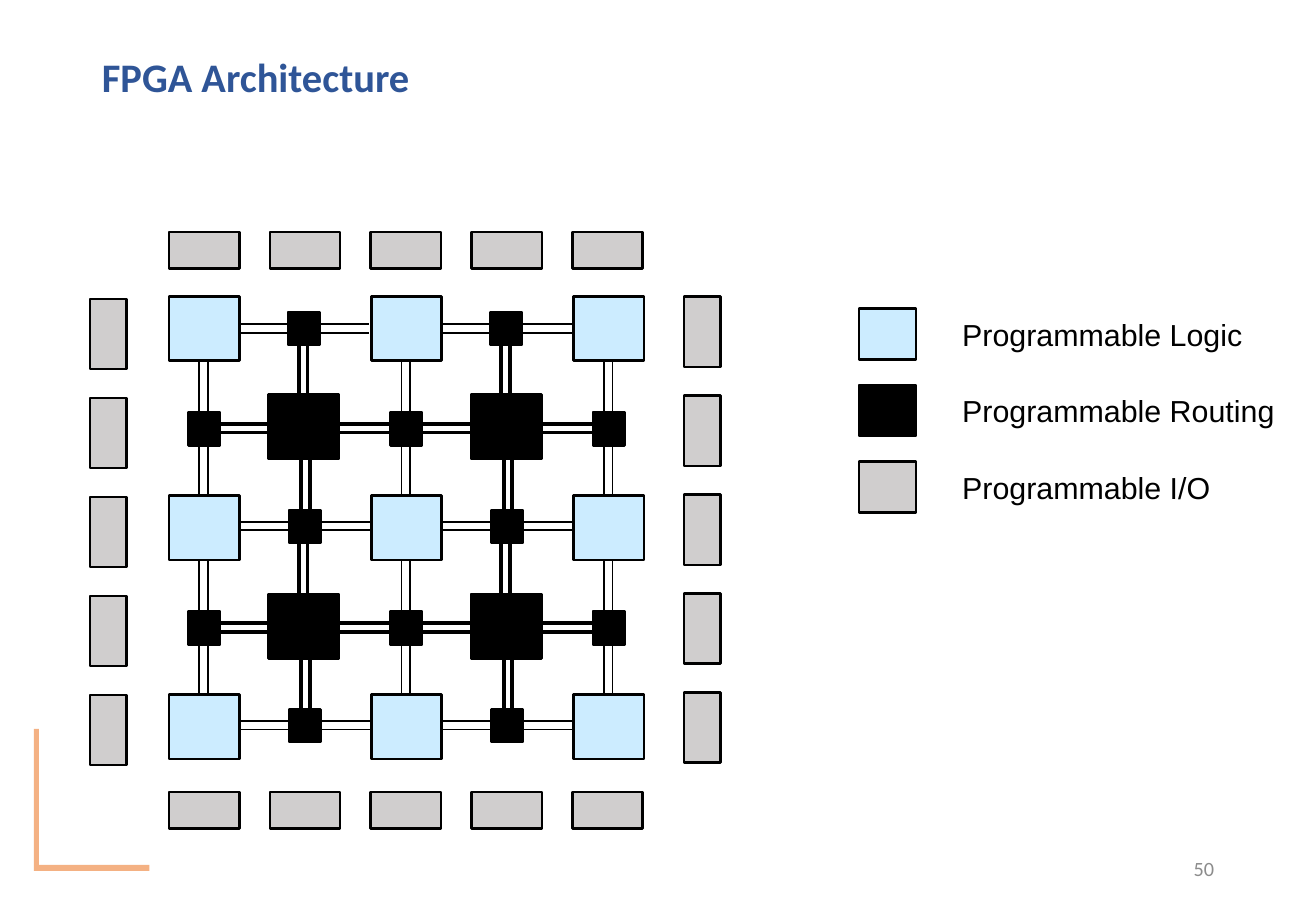
from pptx import Presentation
from pptx.dml.color import RGBColor
from pptx.enum.shapes import MSO_CONNECTOR, MSO_SHAPE
from pptx.enum.text import MSO_ANCHOR, PP_ALIGN
from pptx.oxml.ns import qn
from pptx.util import Inches, Pt
from lxml import etree

RECT = MSO_SHAPE.RECTANGLE
STRAIGHT = MSO_CONNECTOR.STRAIGHT
MIDDLE, TOP = MSO_ANCHOR.MIDDLE, MSO_ANCHOR.TOP
LEFT, RIGHT = PP_ALIGN.LEFT, PP_ALIGN.RIGHT

BLACK = RGBColor(0x00, 0x00, 0x00)
LOGIC_BLUE = RGBColor(0xCC, 0xEC, 0xFF)
IO_GRAY = RGBColor(0xD0, 0xCE, 0xCE)
TITLE_BLUE = RGBColor(0x2F, 0x55, 0x97)
ACCENT_ORANGE = RGBColor(0xF4, 0xB1, 0x83)
NUMBER_GRAY = RGBColor(0x8C, 0x8C, 0x8C)

LOGIC_COUNT = 3  # logic blocks per row and per column
IO_COUNT = 5  # I/O blocks per side
BLOCK_W, BLOCK_H = 0.58, 0.53
IO_LONG, IO_SHORT = 0.58, 0.3
WIRE_GAP = 0.07
THIN, THICK = 1, 2.25


def add_block(shapes, x, y, w, h, fill, outlined=True):
    sp = shapes.add_shape(RECT, Inches(x), Inches(y), Inches(w), Inches(h))
    sp.shadow.inherit = False
    sp.fill.solid()
    sp.fill.fore_color.rgb = fill
    if outlined:
        sp.line.color.rgb = BLACK
        sp.line.width = Pt(1.5)
    else:
        sp.line.fill.background()


def add_wire_pair(shapes, x, y, length, width, vertical=False):
    """Draw two parallel wires that start at x, y and run right or down."""
    dx, dy = (0, length) if vertical else (length, 0)
    for offset in (0, WIRE_GAP):
        x1, y1 = (x + offset, y) if vertical else (x, y + offset)
        line = shapes.add_connector(STRAIGHT, Inches(x1), Inches(y1),
                                    Inches(x1 + dx), Inches(y1 + dy))
        line.line.color.rgb = BLACK
        line.line.width = Pt(width)
        etree.SubElement(line._element.spPr, qn("a:effectLst"))


def add_text(shapes, x, y, w, h, text, font, size, color, bold=False,
             align=LEFT, anchor=TOP, wrap=True):
    tf = shapes.add_textbox(Inches(x), Inches(y), Inches(w), Inches(h)).text_frame
    tf.word_wrap = wrap
    tf.vertical_anchor = anchor
    p = tf.paragraphs[0]
    p.text = text
    p.alignment = align
    p.font.name = font
    p.font.size = Pt(size)
    p.font.bold = bold
    p.font.color.rgb = color
    return p


def add_corner_bracket(slide, x, y, w, h):
    shapes = slide.shapes.add_group_shape().shapes
    add_block(shapes, x, y + h - 0.05, w, 0.05, ACCENT_ORANGE, outlined=False)
    add_block(shapes, x, y, 0.04, h, ACCENT_ORANGE, outlined=False)


def add_fabric(slide, x, y, w, h):
    """Draw the grid of logic blocks, switch boxes, and the wires between them."""
    shapes = slide.shapes.add_group_shape().shapes
    pitch_x = (w - BLOCK_W) / (LOGIC_COUNT - 1)
    pitch_y = (h - BLOCK_H) / (LOGIC_COUNT - 1)
    columns = [x + i * pitch_x for i in range(LOGIC_COUNT)]
    rows = [y + i * pitch_y for i in range(LOGIC_COUNT)]

    for row in rows:
        nudge = 0 if row == y else 0.01
        for column in columns[:-1]:
            wire_y = row + 0.23 - 1.5 * nudge
            add_wire_pair(shapes, column + BLOCK_W + nudge, wire_y, 0.4, THIN)
            add_wire_pair(shapes, column + 1.25 + nudge, wire_y, 0.4, THIN)
            add_block(shapes, column + 0.98 + nudge, row + 0.13 - nudge,
                      0.26, 0.27, BLACK)

    for row in rows[:-1]:
        for column in columns:
            add_wire_pair(shapes, column + 0.25, row + BLOCK_H, 0.41, THIN, True)
            add_wire_pair(shapes, column + 0.25, row + 1.23, 0.41, THIN, True)
            add_block(shapes, column + 0.16, row + 0.95, 0.26, 0.28, BLACK)
        for column in columns[:-1]:
            add_wire_pair(shapes, column + 1.07, row + 0.4, 0.41, THICK, True)
            add_wire_pair(shapes, column + 1.09, row + 1.34, 0.42, THICK, True)
            add_wire_pair(shapes, column + 0.42, row + 1.05, 0.42, THICK)
            add_wire_pair(shapes, column + 1.41, row + 1.05, 0.48, THICK)
            add_block(shapes, column + 0.82, row + 0.81, BLOCK_W, BLOCK_H, BLACK)

    for row in rows:
        for column in columns:
            add_block(shapes, column, row, BLOCK_W, BLOCK_H, LOGIC_BLUE)


def add_io_ring(slide, x, y, w, h):
    shapes = slide.shapes.add_group_shape().shapes
    for i in range(IO_COUNT):
        column = x + 0.65 + i * 0.83
        for row in (y, y + h - IO_SHORT):
            add_block(shapes, column, row, IO_LONG, IO_SHORT, IO_GRAY)
        row = y + 0.55 + i * 0.815
        add_block(shapes, x, row, IO_SHORT, IO_LONG, IO_GRAY)
        add_block(shapes, x + w - IO_SHORT, row - 0.02, IO_SHORT, IO_LONG, IO_GRAY)


def add_legend(slide, x, y, w, h):
    entries = [("Programmable Logic", LOGIC_BLUE),
               ("Programmable Routing", BLACK),
               ("Programmable I/O", IO_GRAY)]
    swatch_w, swatch_h = 0.47, 0.42
    pitch = (h - swatch_h) / (len(entries) - 1)
    for i, (label, color) in enumerate(entries):
        top = y + i * pitch
        add_block(slide.shapes, x, top, swatch_w, swatch_h, color)
        add_text(slide.shapes, x + 0.75, top + 0.01, w - 0.75, 0.4, label,
                 "Arial", 18, BLACK, wrap=False)


def main():
    prs = Presentation()
    prs.slide_width, prs.slide_height = Inches(10.83), Inches(7.5)
    slide = prs.slides.add_slide(prs.slide_layouts[6])

    add_corner_bracket(slide, 0.28, 6, 0.95, 1.17)
    title = add_text(slide.shapes, 0.74, 0.34, 7.38, 0.62, "FPGA Architecture",
                     "Calibri", 24, TITLE_BLUE, bold=True, anchor=MIDDLE)
    title.line_spacing = 0.9
    add_fabric(slide, 1.39, 2.44, 3.91, 3.81)
    add_io_ring(slide, 0.74, 1.91, 5.19, 4.91)
    add_legend(slide, 7.07, 2.54, 3.55, 1.68)
    add_text(slide.shapes, 7.65, 6.95, 2.44, 0.4, "50", "Calibri", 12,
             NUMBER_GRAY, align=RIGHT, anchor=MIDDLE)
    prs.save("out.pptx")


if __name__ == "__main__":
    main()
